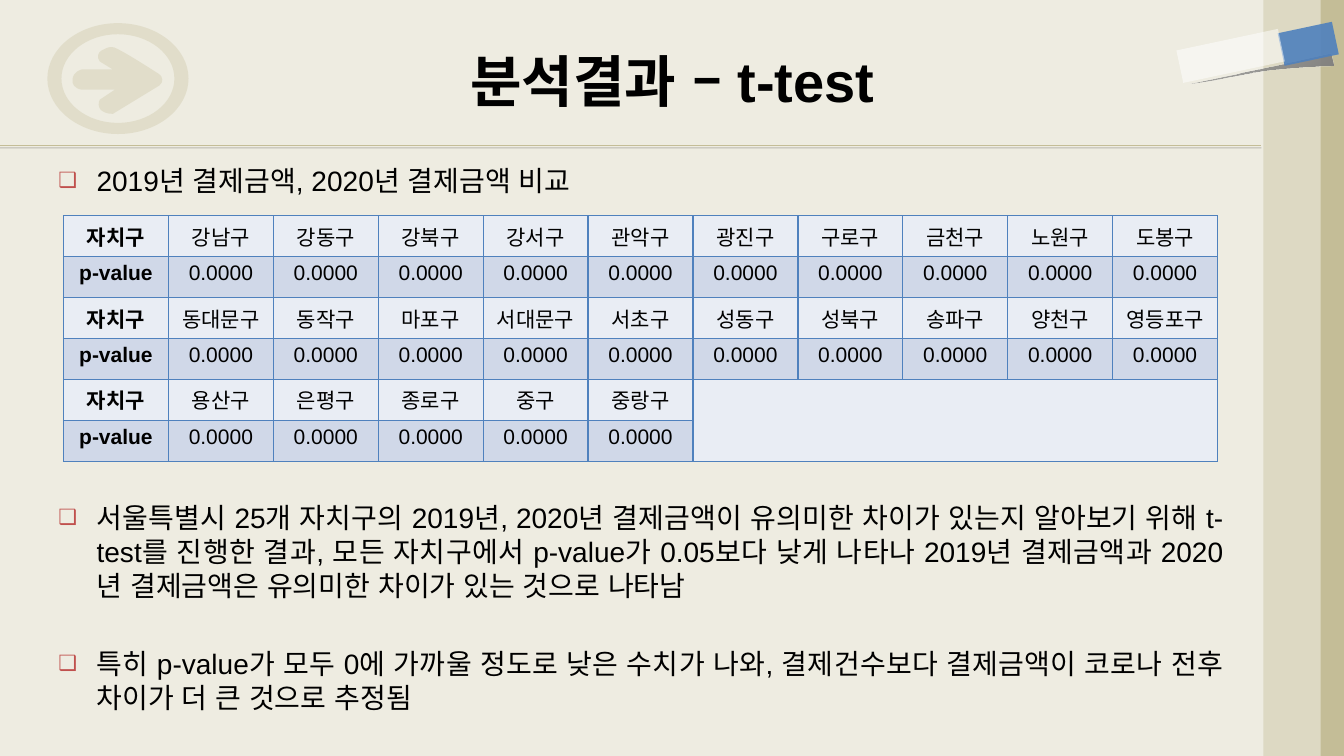
from lxml.etree import SubElement
from pptx import Presentation
from pptx.dml.color import RGBColor
from pptx.enum.shapes import MSO_CONNECTOR as CONN, MSO_SHAPE as SHAPE
from pptx.enum.text import MSO_ANCHOR as ANCHOR, PP_ALIGN as ALIGN
from pptx.oxml import parse_xml
from pptx.oxml.ns import nsdecls, qn
from pptx.util import Inches, Pt

W, H = 13.33, 7.5
TITLE = [("분석결과 ", "Cabin"), ("– t-test", "Arial")]
INTRO = ["2019년 결제금액, 2020년 결제금액 비교"]
FINDINGS = [
    "서울특별시 25개 자치구의 2019년, 2020년 결제금액이 유의미한 차이가 있는지 알아보기 위해 "
    "t-test를 진행한 결과, 모든 자치구에서 p-value가 0.05보다 낮게 나타나 2019년 결제금액과 "
    "2020년 결제금액은 유의미한 차이가 있는 것으로 나타남",
    "특히 p-value가 모두 0에 가까울 정도로 낮은 수치가 나와, 결제건수보다 결제금액이 코로나 "
    "전후 차이가 더 큰 것으로 추정됨",
]
DISTRICTS = [
    "강남구 강동구 강북구 강서구 관악구 광진구 구로구 금천구 노원구 도봉구".split(),
    "동대문구 동작구 마포구 서대문구 서초구 성동구 성북구 송파구 양천구 영등포구".split(),
    "용산구 은평구 종로구 중구 중랑구".split(),
]
P_VALUE = "0.0000"
COLS, ROWS = 11, 6
BAND = ["E9EDF4", "D0D8E8"]
BLUE, SAND, PALE = "4F81BD", "C4BD97", "DDD9C3"
ARROW = [
    (1.57, 0.73), [(1.49, 0.68), (1.23, 0.51), (1.13, 0.47)],
    [(1.07, 0.46), (1.06, 0.48), (1.01, 0.5)], [(0.97, 0.52), (0.96, 0.57), (0.99, 0.61)],
    (1.12, 0.69), (0.81, 0.69), [(0.74, 0.71), (0.72, 0.76), (0.72, 0.79)],
    [(0.71, 0.83), (0.74, 0.88), (0.81, 0.89)], (1.14, 0.89), (0.99, 0.99),
    [(0.97, 1.02), (0.98, 1.07), (1, 1.09)], [(1.02, 1.11), (1.06, 1.13), (1.12, 1.13)],
    [(1.35, 0.99), (1.58, 0.85), (1.58, 0.85)], [(1.61, 0.82), (1.61, 0.81), (1.61, 0.79)],
    [(1.61, 0.77), (1.6, 0.75), (1.57, 0.73)],
]
TAPE_SHADE = [(13.2, 0.53), (13.23, 0.65), [(12.38, 0.68), (12.2, 0.78), (11.8, 0.83)],
              [(12.27, 0.73), (12.73, 0.64), (13.2, 0.53)]]
UNITS = 1000


def rgb(h):
    return RGBColor.from_string(h)


def paint(shape, color, alpha=100):
    shape.shadow.inherit = False
    shape.line.fill.background()
    shape.fill.solid()
    shape.fill.fore_color.rgb = rgb(color)
    if alpha < 100:
        clr = shape._element.spPr.find(qn("a:solidFill"))[0]
        SubElement(clr, qn("a:alpha"), val=str(alpha * 1000))
    return shape


def rect(x, y, w, h, color, alpha=100, rot=0):
    shape = s.shapes.add_shape(SHAPE.RECTANGLE, Inches(x), Inches(y), Inches(w), Inches(h))
    shape.rotation = rot
    return paint(shape, color, alpha)


def ellipse(cx, cy, rx, ry, k=0.55):
    def at(u, v):
        return cx + u * rx, cy + v * ry

    steps, (u, v) = [at(0, -1)], (0, -1)
    for _ in range(4):
        nu, nv = -v, u
        steps.append([at(u + k * nu, v + k * nv), at(nu + k * u, nv + k * v), at(nu, nv)])
        u, v = nu, nv
    return steps


def outline(contours, color, alpha=100):
    fb = None
    for steps in contours:
        pts = [pt for step in steps for pt in (step if isinstance(step, list) else [step])]
        pts = [(x * UNITS, y * UNITS) for x, y in pts]
        if fb:
            fb.move_to(*pts[0])
        else:
            fb = s.shapes.build_freeform(*pts[0], scale=Inches(1) / UNITS)
        fb.add_line_segments(pts[1:], close=True)
    shape = fb.convert_to_shape()
    lines = iter(list(shape._element.iter(qn("a:lnTo"))))
    for step in (step for steps in contours for step in steps[1:]):
        first = next(lines)
        if isinstance(step, list):
            first.tag = qn("a:cubicBezTo")
            for _ in range(2):
                other = next(lines)
                first.append(other[0])
                other.getparent().remove(other)
    return paint(shape, color, alpha)


def write(p, text, size=20, font="Arial", bold=False, align=None):
    p.alignment = align
    r = p.add_run()
    r.text = text
    r.font.size, r.font.name, r.font.bold = Pt(size), font, bold
    r.font.color.rgb = rgb("000000")
    r._r.get_or_add_rPr().set("lang", "ko-KR")


def text_box(x, y, w, h):
    tf = s.shapes.add_textbox(Inches(x), Inches(y), Inches(w), Inches(h)).text_frame
    tf.word_wrap = True
    return tf


def bullets(tf, items, align, gap=32):
    for i, item in enumerate(items):
        p = tf.add_paragraph() if i else tf.paragraphs[0]
        p.space_before = Pt(gap if i else 4)
        write(p, item, align=align)
        pPr = p._p.get_or_add_pPr()
        pPr.set("marL", str(Inches(0.38)))
        pPr.set("indent", str(-Inches(0.38)))
        SubElement(SubElement(pPr, qn("a:buClr")), qn("a:srgbClr"), val="C0504D")
        SubElement(pPr, qn("a:buSzPct"), val="75000")
        SubElement(pPr, qn("a:buFont"), typeface="Arial")
        SubElement(pPr, qn("a:buChar"), char="❑")


def style_cell(cell, color):
    tcPr = cell._tc.get_or_add_tcPr()
    for side in ("lnL", "lnR", "lnT", "lnB"):
        ln = SubElement(tcPr, qn("a:" + side), w=str(Pt(1)))
        SubElement(SubElement(ln, qn("a:solidFill")), qn("a:srgbClr"), val=BLUE)
    cell.fill.solid()
    cell.fill.fore_color.rgb = rgb(color)


prs = Presentation()
prs.slide_width, prs.slide_height = Inches(W), Inches(H)
s = prs.slides.add_slide(prs.slide_layouts[6])
s.background.fill.solid()
s.background.fill.fore_color.rgb = rgb("EEECE1")

rule = s.shapes.add_connector(CONN.STRAIGHT, 0, Inches(1.44), Inches(12.51), Inches(1.44))
rule.line.color.rgb, rule.line.width = rgb(SAND), Pt(0.75)
rule._element.spPr.append(parse_xml(
    f'<a:effectLst {nsdecls("a")}><a:outerShdw dist="{Pt(2)}" dir="5400000">'
    '<a:srgbClr val="000000"><a:alpha val="22000"/></a:srgbClr></a:outerShdw></a:effectLst>'))

outline([ARROW], SAND, 30)
outline([ellipse(1.17, 0.78, 0.7, 0.55), ellipse(1.17, 0.78, 0.56, 0.44)], SAND, 30)
rect(12.55, 0, W - 12.55, H, SAND)
rect(12.53, 0, 0.57, H, PALE)
shade = outline([TAPE_SHADE], "808080")
solid = shade._element.spPr.find(qn("a:solidFill"))
solid.getparent().replace(solid, parse_xml(
    f'<a:gradFill {nsdecls("a")}><a:gsLst><a:gs pos="0"><a:srgbClr val="808080"/></a:gs>'
    '<a:gs pos="100000"><a:srgbClr val="808080"><a:alpha val="56000"/></a:srgbClr></a:gs></a:gsLst>'
    '<a:path path="circle"><a:fillToRect l="100000" t="100000"/></a:path></a:gradFill>'))
rect(12.81, 0.16, 0.33, 0.55, BLUE, 90, 78)
rect(12.04, 0.04, 0.33, 1.03, "FFFFFF", 50, 78)

frame = s.shapes.add_table(ROWS, COLS, Inches(0.63), Inches(2.14), Inches(11.45), Inches(2.44))
table = frame.table
table.first_row = table.horz_banding = False
for row in range(ROWS):
    names = DISTRICTS[row // 2]
    values = ["p-value"] + [P_VALUE] * len(names) if row % 2 else ["자치구"] + names
    for col in range(COLS):
        cell = table.cell(row, col)
        blank = col >= len(values)
        style_cell(cell, BAND[0 if blank else row % 2])
        if not blank:
            write(cell.text_frame.paragraphs[0], values[col], size=15, bold=col == 0,
                  align=ALIGN.CENTER)
table.cell(4, 6).merge(table.cell(5, 10))

tf = text_box(0.67, 0.17, 12, 1.25)
tf.vertical_anchor = ANCHOR.MIDDLE
for text, font in TITLE:
    write(tf.paragraphs[0], text, size=40, font=font, bold=True, align=ALIGN.CENTER)
bullets(text_box(0.48, 1.57, 6.7, 0.41), INTRO, ALIGN.LEFT)
bullets(text_box(0.48, 4.92, 11.75, 2.33), FINDINGS, ALIGN.JUSTIFY)

prs.save("out.pptx")
